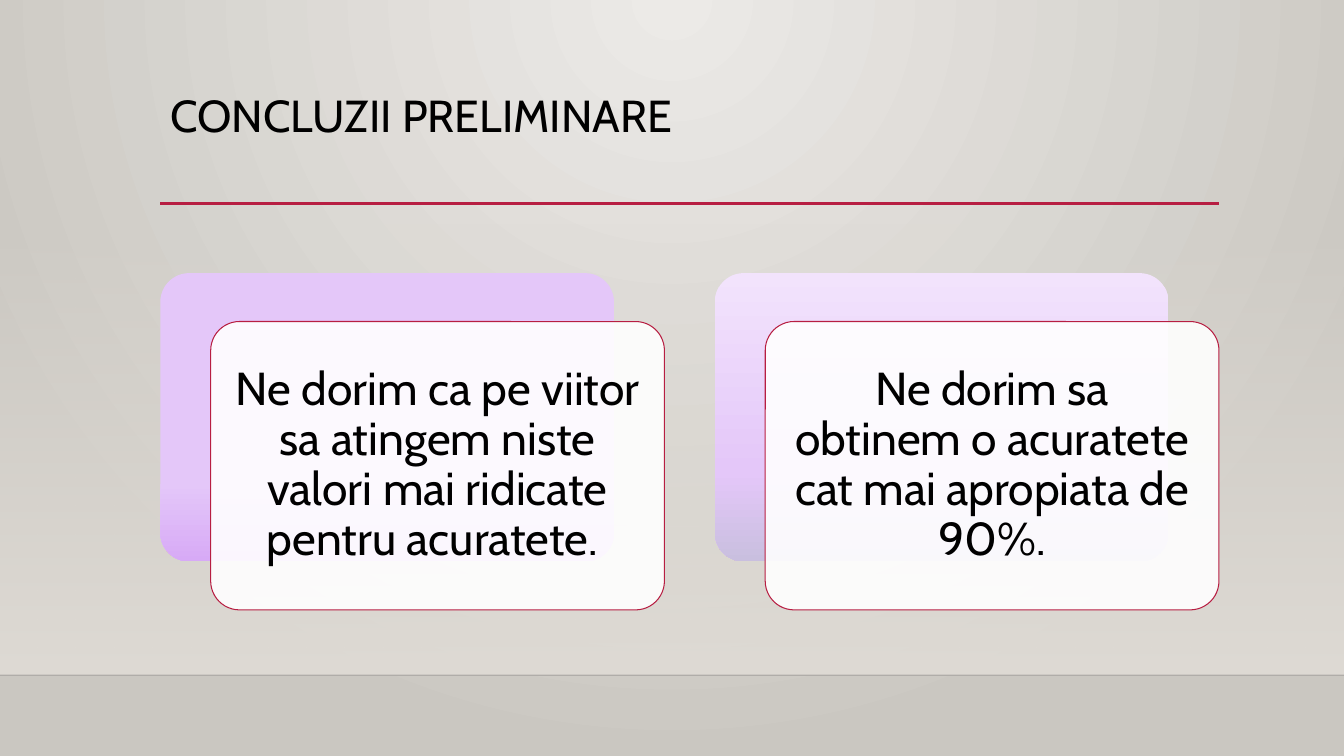
from lxml import etree
from pptx import Presentation, util as u
from pptx.dml.color import RGBColor
from pptx.enum import shapes, text
from pptx.oxml import parse_xml
from pptx.oxml.ns import nsdecls, qn

WIDE, HIGH = 13.33, 7.5
LEFT, TOP = 1.59, 2.71
COL, ROW = 0.5, 0.48
SPAN = 21
EDGE = -LEFT / COL
FULL = WIDE / COL
FLOOR = 8.31
FONT = "Cabin"
RED = "B71E42"
DOWN = '<a:lin ang="5400000" scaled="0"/>'
GLOW = '<a:path path="circle"><a:fillToRect l="43000" t="0" r="43000" b="100000"/></a:path>'
CARDS = [
    ("Ne dorim ca pe viitor sa atingem niste valori mai ridicate pentru acuratete. ",
     [(50, "E4C7F9", 100), (73, "E4C7F9", 100), (100, "D7AAF6", 100)]),
    ("Ne dorim sa obtinem o acuratete cat mai apropiata de 90%.",
     [(0, "F2E3FC", 100), (69, "E4C7F9", 100), (100, "C9BFDF", 100)]),
]


def tint(code):
    return RGBColor.from_string(code)


def spot(col, row):
    return u.Inches(LEFT + col * COL), u.Inches(TOP + row * ROW)


def area(col, row, cols, rows):
    return *spot(col, row), u.Inches(cols * COL), u.Inches(rows * ROW)


def fade(host, fill, stops, mode):
    fill.solid()
    marks = "".join(
        f'<a:gs pos="{pos * 1000}"><a:srgbClr val="{code}">'
        f'<a:alpha val="{alpha * 1000}"/></a:srgbClr></a:gs>'
        for pos, code, alpha in stops)
    grad = parse_xml(f'<a:gradFill {nsdecls("a")} rotWithShape="1">'
                     f'<a:gsLst>{marks}</a:gsLst>{mode}</a:gradFill>')
    host.replace(host.find(qn("a:solidFill")), grad)


def thin(fill, alpha):
    etree.SubElement(fill.find(qn("a:srgbClr")), qn("a:alpha")).set("val", str(alpha * 1000))


def panel(slide, kind, place):
    shape = slide.shapes.add_shape(kind, *place)
    shape.shadow.inherit = False
    shape.line.fill.background()
    if kind == shapes.MSO_SHAPE.ROUNDED_RECTANGLE:
        shape.adjustments[0] = 0.1
    return shape


def rule(slide, col, row, cols, code, size):
    start, end = spot(col, row), spot(col + cols, row)
    line = slide.shapes.add_connector(shapes.MSO_CONNECTOR.STRAIGHT, *start, *end)
    line.line.color.rgb = tint(code)
    line.line.width = u.Pt(size)
    etree.SubElement(line._element.spPr, qn("a:effectLst"))
    return line


def write(shape, words, size, align, anchor):
    frame = shape.text_frame
    frame.word_wrap = True
    frame.vertical_anchor = anchor
    para = frame.paragraphs[0]
    para.alignment = align
    para.line_spacing = 0.9
    run = para.add_run()
    run.text = words
    run.font.name = FONT
    run.font.size = u.Pt(size)
    run.font.color.rgb = tint("000000")
    return frame


def card(slide, col, words, stops):
    kind = shapes.MSO_SHAPE.ROUNDED_RECTANGLE
    back = panel(slide, kind, area(col, 0, 9, 5.96))
    fade(back._element.spPr, back.fill, stops, DOWN)
    front = panel(slide, kind, area(col + 1, 1, 9, 5.96))
    front.fill.solid()
    front.fill.fore_color.rgb = tint("FFFFFF")
    thin(front._element.spPr.find(qn("a:solidFill")), 90)
    front.line.color.rgb = tint(RED)
    front.line.width = u.Pt(0.75)
    frame = write(front, words, 33, text.PP_ALIGN.CENTER, text.MSO_ANCHOR.MIDDLE)
    frame.margin_left = frame.margin_right = u.Inches(0.14)
    frame.margin_top = frame.margin_bottom = u.Inches(0.14)


def scene(slide):
    fill = slide.background.fill
    fill.solid()
    host = slide._element.find(".//" + qn("p:bgPr"))
    fade(host, fill, [(0, "ECEAE7", 100), (100, "CAC7C1", 100)], GLOW)
    top = -1.04
    wall = panel(slide, shapes.MSO_SHAPE.RECTANGLE, area(EDGE, top, FULL, FLOOR - top))
    fade(wall._element.spPr, wall.fill, [(0, "DFDBD5", 0), (100, "DFDBD5", 100)], DOWN)
    floor = rule(slide, EDGE, FLOOR, FULL, "000001", 1)
    thin(floor._element.spPr.find(qn("a:ln")).find(qn("a:solidFill")), 20)


def main():
    deck = Presentation()
    deck.slide_width, deck.slide_height = u.Inches(WIDE), u.Inches(HIGH)
    slide = deck.slides.add_slide(deck.slide_layouts[6])
    scene(slide)
    rule(slide, 0, -1.44, SPAN, RED, 2.5)
    title = slide.shapes.add_textbox(*area(0, -3.81, SPAN, 2.4))
    write(title, "CONCLUZII PRELIMINARE", 32, text.PP_ALIGN.LEFT, text.MSO_ANCHOR.TOP)
    for rank, (words, stops) in enumerate(CARDS):
        card(slide, rank * 11, words, stops)
    deck.save("out.pptx")


if __name__ == "__main__":
    main()
